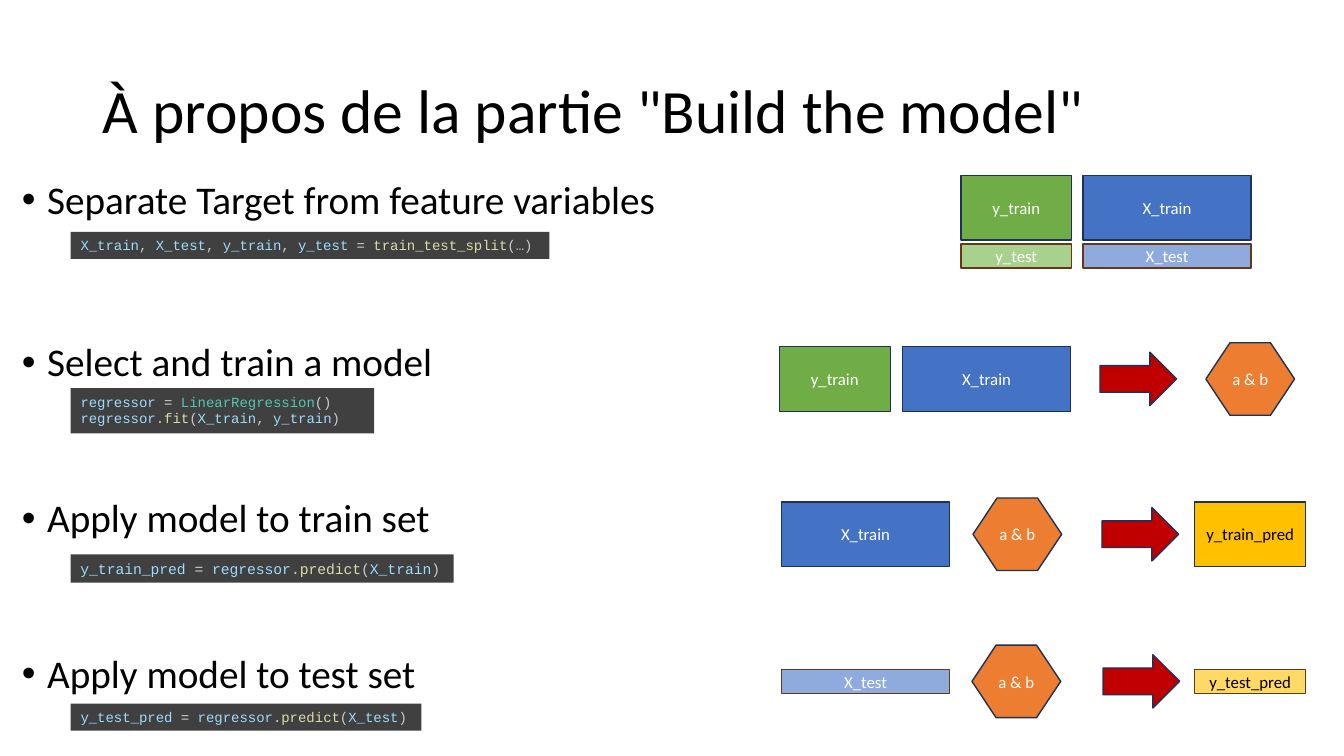
from lxml import etree
from pptx import Presentation
from pptx.dml.color import RGBColor
from pptx.enum.shapes import MSO_SHAPE
from pptx.enum.text import MSO_ANCHOR, MSO_AUTO_SIZE, PP_ALIGN
from pptx.oxml.ns import qn
from pptx.util import Inches, Pt

RECTANGLE, HEXAGON, ARROW = MSO_SHAPE.RECTANGLE, MSO_SHAPE.HEXAGON, MSO_SHAPE.RIGHT_ARROW
LEFT, CENTER = PP_ALIGN.LEFT, PP_ALIGN.CENTER
MIDDLE, TOP = MSO_ANCHOR.MIDDLE, MSO_ANCHOR.TOP
FIT_SHAPE = MSO_AUTO_SIZE.SHAPE_TO_FIT_TEXT

TITLE = 'À propos de la partie "Build the model"'

# Step, points of space before it
STEPS = [
    ("Separate Target from feature variables", 0),
    ("Select and train a model", 86),
    ("Apply model to train set", 81),
    ("Apply model to test set", 81),
]

# Syntax colours: variable, operator, function, class, punctuation
SYNTAX = {"v": "9CDCFE", "o": "D4D4D4", "f": "DCDCAA", "c": "4EC9B0", "p": "CCCCCC"}
CODE_LEFT = 0.7

# Top, width, height, point size, lines of (syntax, text)
SNIPPETS = [
    (2.3, 4.75, 0.27, 10, [
        [("v", "X_train"), ("p", ", "), ("v", "X_test"), ("p", ", "), ("v", "y_train"),
         ("p", ", "), ("v", "y_test "), ("o", "= "), ("f", "train_test_split"), ("p", "(…)")]]),
    (3.85, 3.01, 0.45, 10, [
        [("v", "regressor "), ("o", "= "), ("c", "LinearRegression"), ("p", "()")],
        [("v", "regressor"), ("p", "."), ("f", "fit"), ("p", "("), ("v", "X_train"),
         ("p", ", "), ("v", "y_train"), ("p", ")")]]),
    (5.5, 3.8, 0.28, 10.5, [
        [("v", "y_train_pred "), ("o", "= "), ("v", "regressor"), ("p", "."),
         ("f", "predict"), ("p", "("), ("v", "X_train"), ("p", ")")]]),
    (6.98, 3.48, 0.27, 10, [
        [("v", "y_test_pred "), ("o", "= "), ("v", "regressor"), ("p", "."),
         ("f", "predict"), ("p", "("), ("v", "X_test"), ("p", ")")]]),
]

TRAIN_LINE, TEST_LINE = "1E3256", "683715"
X_WIDTH, Y_WIDTH, TRAIN_HEIGHT, TEST_HEIGHT = 1.67, 1.1, 0.64, 0.24

# Label: preset, width, height, fill, line, text colour
PARTS = {
    "X_train": (RECTANGLE, X_WIDTH, TRAIN_HEIGHT, "4472C4", TRAIN_LINE, "FFFFFF"),
    "X_test": (RECTANGLE, X_WIDTH, TEST_HEIGHT, "8FAADC", TEST_LINE, "FFFFFF"),
    "y_train": (RECTANGLE, Y_WIDTH, TRAIN_HEIGHT, "70AD47", TRAIN_LINE, "FFFFFF"),
    "y_test": (RECTANGLE, Y_WIDTH, TEST_HEIGHT, "A9D18E", TEST_LINE, "FFFFFF"),
    "y_train_pred": (RECTANGLE, Y_WIDTH, TRAIN_HEIGHT, "FFC000", TRAIN_LINE, "000000"),
    "y_test_pred": (RECTANGLE, Y_WIDTH, TEST_HEIGHT, "FFD966", TEST_LINE, "000000"),
    "a & b": (HEXAGON, 0.88, 0.72, "ED7D31", TRAIN_LINE, "FFFFFF"),
    "": (ARROW, 0.76, 0.53, "C00000", TRAIN_LINE, "FFFFFF"),
}

# Vertical centre of each diagram row, then (label, left)
DIAGRAM_ROWS = [
    (2.06, [("y_train", 9.53), ("X_train", 10.74)]),
    (2.54, [("y_test", 9.53), ("X_test", 10.74)]),
    (3.76, [("y_train", 7.73), ("X_train", 8.95), ("", 10.91), ("a & b", 11.96)]),
    (5.3, [("X_train", 7.75), ("a & b", 9.65), ("", 10.93), ("y_train_pred", 11.85)]),
    (6.76, [("X_test", 7.75), ("a & b", 9.64), ("", 10.94), ("y_test_pred", 11.85)]),
]


def color(value):
    return RGBColor.from_string(value)


def style(span, size, value, font="Calibri"):
    span.font.size = Pt(size)
    span.font.name = font
    span.font.color.rgb = color(value)


def inches(*lengths):
    return [Inches(length) for length in lengths]


def add_box(slide, preset, place, fill, line=None):
    box = slide.shapes.add_shape(preset, *inches(*place))
    box.shadow.inherit = False
    box.fill.solid()
    box.fill.fore_color.rgb = color(fill)
    if line:
        box.line.color.rgb = color(line)
        box.line.width = Pt(1)
    else:
        box.line.fill.background()
    return box


def add_title(slide):
    title = slide.shapes.title
    title.left, title.top, title.width, title.height = inches(0.92, 0.4, 11.5, 1.45)
    title.text_frame.text = TITLE
    title.text_frame.vertical_anchor = MIDDLE
    para = title.text_frame.paragraphs[0]
    para.alignment = LEFT
    para.line_spacing = 0.9
    style(para.runs[0], 44, "000000")


def add_steps(slide):
    frame = slide.shapes.add_textbox(*inches(0.12, 1.74, 12.3, 5.66)).text_frame
    frame.word_wrap = True
    frame.text = "\n".join(step for step, _ in STEPS)
    for para, (_, space) in zip(frame.paragraphs, STEPS):
        para.line_spacing = 0.9
        para.space_before = Pt(space)
        style(para.runs[0], 28, "000000")
        properties = para._p.get_or_add_pPr()
        properties.set("marL", str(Inches(0.25)))
        properties.set("indent", str(-Inches(0.25)))
        etree.SubElement(properties, qn("a:buFont"), typeface="Arial")
        etree.SubElement(properties, qn("a:buChar"), char="•")


def add_snippet(slide, top, width, height, size, lines):
    box = add_box(slide, RECTANGLE, (CODE_LEFT, top, width, height), "404040")
    frame = box.text_frame
    frame.word_wrap = False
    frame.auto_size = FIT_SHAPE
    frame.vertical_anchor = TOP
    for number, line in enumerate(lines):
        para = frame.add_paragraph() if number else frame.paragraphs[0]
        para.alignment = LEFT
        for syntax, text in line:
            span = para.add_run()
            span.text = text
            style(span, size, SYNTAX[syntax], "Courier New")


def add_part(slide, label, left, middle):
    preset, width, height, fill, line, text_color = PARTS[label]
    box = add_box(slide, preset, (left, middle - height / 2, width, height), fill, line)
    if preset == HEXAGON:
        box.adjustments[0] = 0.332
    if label:
        box.text_frame.text = label
        box.text_frame.vertical_anchor = MIDDLE
        para = box.text_frame.paragraphs[0]
        para.alignment = CENTER
        style(para.runs[0], 12, text_color)


def main():
    deck = Presentation()
    deck.slide_width, deck.slide_height = inches(13.33, 7.5)
    slide = deck.slides.add_slide(deck.slide_layouts[5])
    add_title(slide)
    add_steps(slide)
    for snippet in SNIPPETS:
        add_snippet(slide, *snippet)
    for middle, parts in DIAGRAM_ROWS:
        for label, left in parts:
            add_part(slide, label, left, middle)
    deck.save("out.pptx")


if __name__ == "__main__":
    main()
